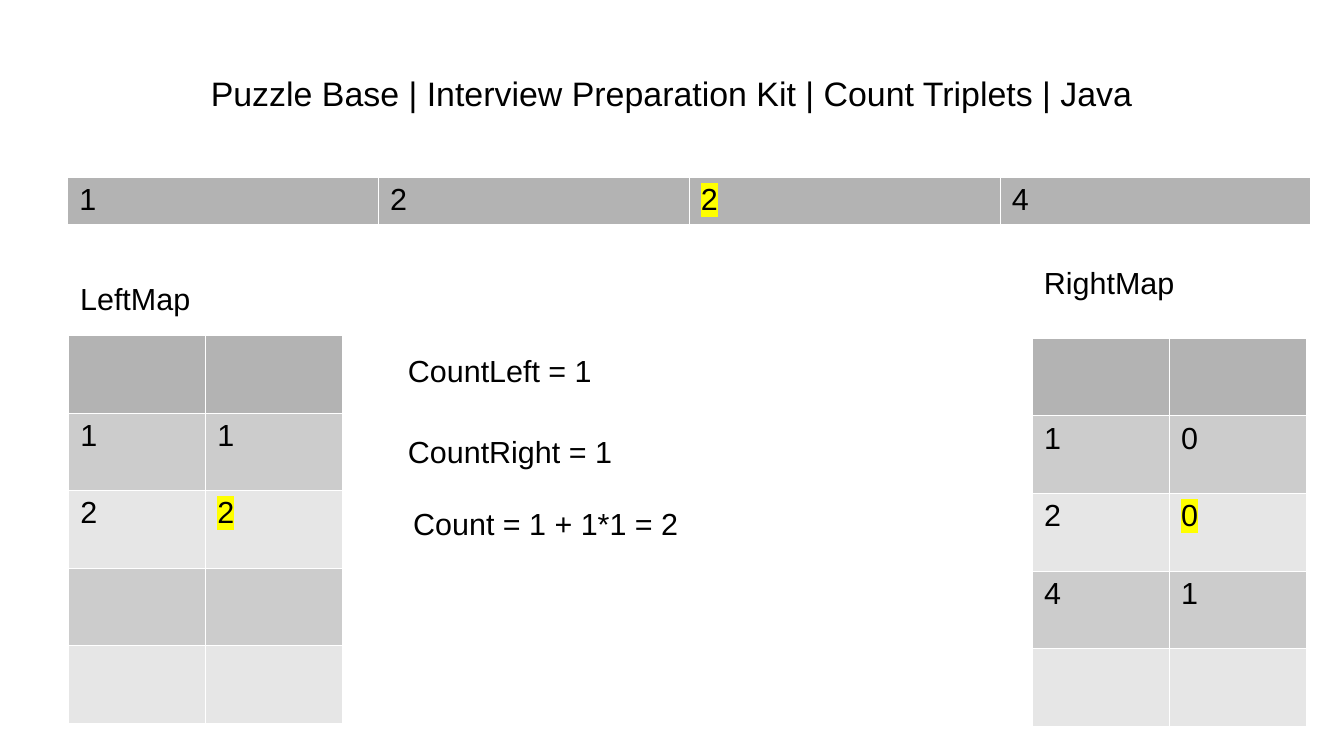
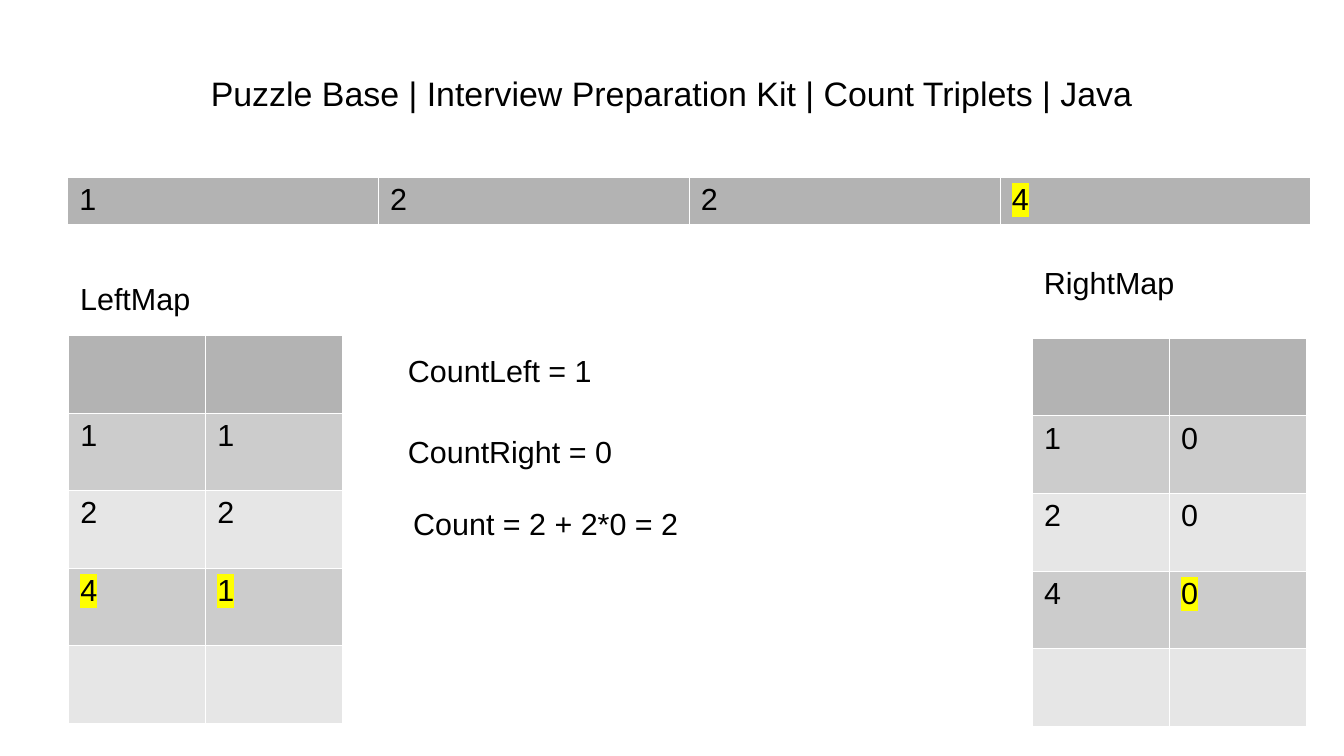
from dataclasses import dataclass

from lxml.etree import SubElement
from pptx import Presentation
from pptx.dml.color import RGBColor
from pptx.enum.text import MSO_ANCHOR as Anchor, PP_ALIGN as Align
from pptx.oxml.ns import qn
from pptx.util import Cm, Pt

FONT = "Arial"
BLACK, WHITE, YELLOW = "000000", "FFFFFF", "FFFF00"
HEADER, BANDS = "B3B3B3", ("CCCCCC", "E6E6E6")
TITLE = "Puzzle Base | Interview Preparation Kit | Count Triplets | Java"
MAP_ROWS, MAP_COLUMNS = 5, 2
MAP_WIDTH, MAP_HEIGHT = 5.71, 8.08
LEFT_MAP, RIGHT_MAP = (1.42, 6.98), (21.5, 7.04)


@dataclass
class Step:
    """One step of the walk through the array, with (row, column) highlights."""
    current: int
    left: list
    left_marks: set
    right: list
    right_marks: set
    counts: tuple


STEPS = [
    Step(2, ["11", "22"], {(2, 1)}, ["10", "20", "41"], {(2, 1)},
         ("CountLeft = 1", "CountRight = 1", "Count = 1 + 1*1 = 2")),
    Step(3, ["11", "22", "41"], {(3, 0), (3, 1)}, ["10", "20", "40"], {(3, 1)},
         ("CountLeft = 1", "CountRight = 0", "Count = 2 + 2*0 = 2")),
]


def color(value):
    """Turn a hex string into a colour."""
    return RGBColor.from_string(value)


def add_solid(parent, tag, value):
    """Append an element that holds one plain colour."""
    SubElement(SubElement(parent, qn(tag)), qn("a:srgbClr")).set("val", value)


def write(paragraph, text, size=18, marked=False):
    """Write one run, highlighted where marked."""
    run = paragraph.add_run()
    run.text = text
    font = paragraph.font
    font.name, font.size, font.color.rgb = FONT, Pt(size), color(BLACK)
    if marked:
        add_solid(run._r.get_or_add_rPr(), "a:highlight", YELLOW)


def add_text(slide, text, left, top, width, height, size=18):
    """Add a line of text in a box and return its frame."""
    frame = slide.shapes.add_textbox(Cm(left), Cm(top), Cm(width), Cm(height)).text_frame
    frame.word_wrap = True
    write(frame.paragraphs[0], text, size)
    return frame


def add_title(slide, left, top, width, height):
    """Add the centred title without margins."""
    frame = add_text(slide, TITLE, left, top, width, height, 20)
    frame.margin_left = frame.margin_right = frame.margin_top = frame.margin_bottom = 0
    frame.vertical_anchor = Anchor.MIDDLE
    frame.paragraphs[0].alignment = Align.CENTER


def style_cell(cell, fill):
    """Give a cell thin white borders and a plain fill."""
    properties = cell._tc.get_or_add_tcPr()
    for side in ("a:lnL", "a:lnR", "a:lnT", "a:lnB"):
        line = SubElement(properties, qn(side), w=str(Pt(0.06)))
        add_solid(line, "a:solidFill", WHITE)
    cell.fill.solid()
    cell.fill.fore_color.rgb = color(fill)
    cell.margin_bottom = Cm(0.09)


def add_grid(slide, rows, marks, left, top, width, height):
    """Add a table with a dark first row and alternating bands below."""
    table = slide.shapes.add_table(
        len(rows), len(rows[0]), Cm(left), Cm(top), Cm(width), Cm(height)).table
    table.first_row = table.horz_banding = False
    for row, values in enumerate(rows):
        fill = BANDS[(row - 1) % 2] if row else HEADER
        for column, value in enumerate(values):
            cell = table.cell(row, column)
            style_cell(cell, fill)
            if value.strip():
                write(cell.text_frame.paragraphs[0], value, marked=(row, column) in marks)


def add_map(slide, entries, marks, left, top):
    """Add a key and count table, padded with empty rows."""
    empty = " " * MAP_COLUMNS
    rows = [empty, *entries]
    rows += [empty] * (MAP_ROWS - len(rows))
    add_grid(slide, rows, marks, left, top, MAP_WIDTH, MAP_HEIGHT)


def add_corner(slide, left, top):
    """Add the single header cell over the corner of a map."""
    add_grid(slide, [" "], set(), left, top, MAP_WIDTH / MAP_COLUMNS, MAP_HEIGHT / MAP_ROWS)


def add_counts(slide, counts, left, top):
    """Add the three count lines below one another."""
    offsets = ((0, 0), (0, 1.68), (0.11, 3.18))
    for text, (shift, drop) in zip(counts, offsets):
        add_text(slide, text, left + shift, top + drop, 6.35, 1.68)


def add_step_slide(presentation, step):
    """Build the slide for one step."""
    slide = presentation.slides.add_slide(presentation.slide_layouts[6])
    add_title(slide, 1.4, 0.62, 25.2, 2.63)
    add_grid(slide, ["1224"], {(0, step.current)}, 1.4, 3.68, 25.9, 0.95)
    add_map(slide, step.left, step.left_marks, *LEFT_MAP)
    add_map(slide, step.right, step.right_marks, *RIGHT_MAP)
    add_corner(slide, *LEFT_MAP)
    add_text(slide, "LeftMap", LEFT_MAP[0], 5.71, 3.66, 1.68)
    add_text(slide, "RightMap", RIGHT_MAP[0], 5.37, 3.66, 1.68)
    add_counts(slide, step.counts, 8.25, 7.21)


def main():
    """Build and save the presentation."""
    presentation = Presentation()
    presentation.slide_width, presentation.slide_height = Cm(28), Cm(15.75)
    for step in STEPS:
        add_step_slide(presentation, step)
    presentation.save("out.pptx")


main()
